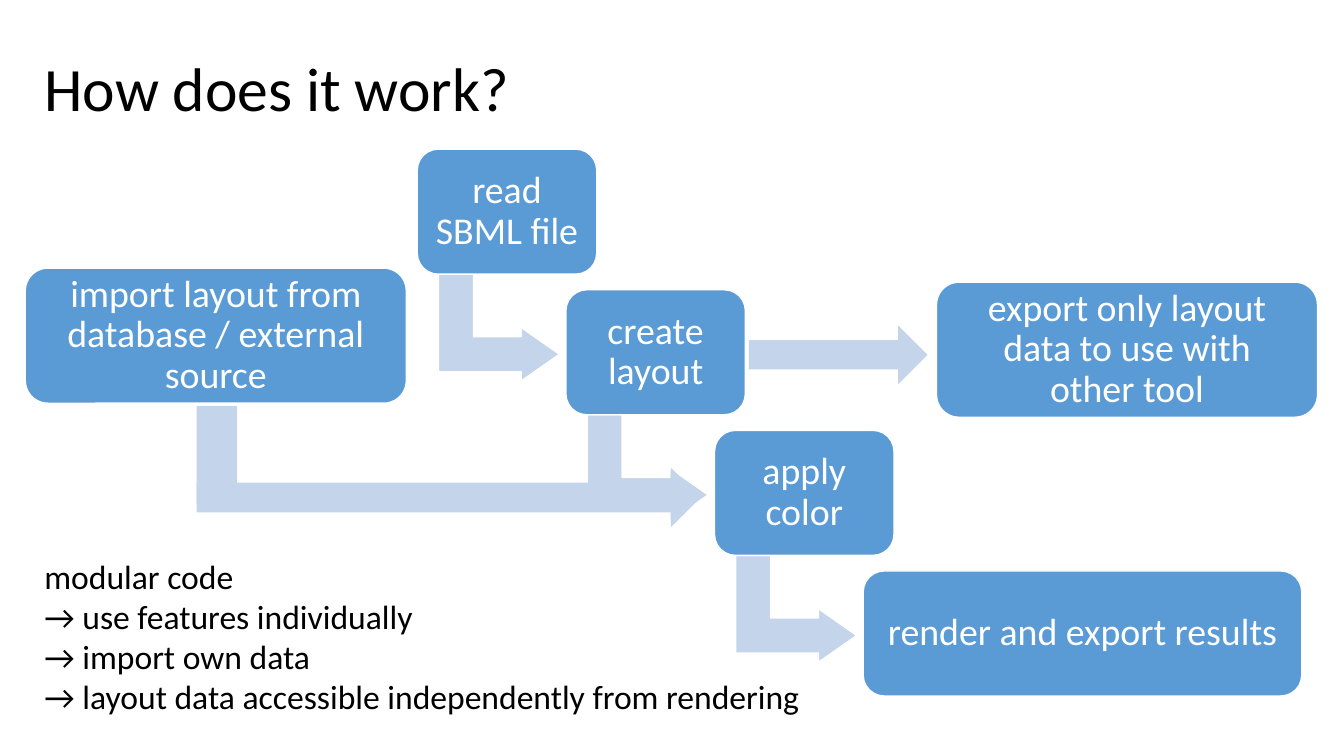
"""Build the "How does it work?" workflow slide."""
from lxml import etree
from pptx import Presentation
from pptx import util as u
from pptx.dml.color import RGBColor
from pptx.enum import shapes, text
from pptx.oxml.ns import qn

W, H = u.Inches(13.33), u.Inches(7.5)
FONT = "Calibri"
COLORS = {"box": "5B9BD5", "arrow": "C4D5EB", "white": "FFFFFF", "black": "000000"}
SHAPE = shapes.MSO_SHAPE

STEPS = ["read SBML file", "create layout", "apply color", "render and export results"]
NOTES = [
    "modular code",
    "→ use features individually",
    "→ import own data",
    "→ layout data accessible independently from rendering",
]
STEP_W, STEP_H, LAST_W = 13.35, 16.53, 32.63
SIDE_W, SIDE_H = 28.35, 17.87


def rgb(name):
    """Return the named colour."""
    return RGBColor.from_string(COLORS[name])


def area(x, y, w, h):
    """Turn percentages of the slide into lengths."""
    return [int(size * share / 100) for size, share in zip((W, H, W, H), (x, y, w, h))]


def add_run(p, words, size, color):
    """Add one formatted run to a paragraph."""
    r = p.add_run()
    r.text = words
    r.font.name, r.font.size = FONT, u.Pt(size)
    r.font.color.rgb = rgb(color)


def add_block(s, kind, place, fill, outlined=False, adj=()):
    """Add a filled preset shape."""
    sp = s.shapes.add_shape(kind, *area(*place))
    sp.shadow.inherit = False
    sp.fill.solid()
    sp.fill.fore_color.rgb = rgb(fill)
    if outlined:
        sp.line.color.rgb = rgb("white")
        sp.line.width = u.Pt(1)
    else:
        sp.line.fill.background()
    for i, value in enumerate(adj):
        sp.adjustments[i] = value
    return sp


def add_box(s, words, place, side=0.11):
    """Add a rounded box with a centred label."""
    sp = add_block(s, SHAPE.ROUNDED_RECTANGLE, place, "box", True, [0.167])
    tf = sp.text_frame
    tf.word_wrap = True
    tf.vertical_anchor = text.MSO_ANCHOR.MIDDLE
    tf.margin_left = tf.margin_right = u.Inches(side)
    tf.margin_top = tf.margin_bottom = u.Inches(0.11)
    p = tf.paragraphs[0]
    p.alignment = text.PP_ALIGN.CENTER
    p.line_spacing = 0.9
    add_run(p, words, 27, "white")


def add_staircase(s):
    """Add the descending steps, each with a bent arrow to the next."""
    last = len(STEPS) - 1
    for i, words in enumerate(STEPS):
        x, y = 31.05 + 11.06 * i, 19.73 + 18.6 * i
        if i < last:
            bend = add_block(s, SHAPE.BENT_UP_ARROW, (x + 2.1, y + 15.6, 7.95, 16),
                             "arrow", True, [0.328, 0.25, 0.358])
            bend.rotation = 90
        add_box(s, words, (x, y, STEP_W if i < last else LAST_W, STEP_H))


def add_title(s, words):
    """Fill and place the title."""
    sp = s.shapes.title
    sp.left, sp.top, sp.width, sp.height = area(2.55, 2.4, 86.25, 19.33)
    tf = sp.text_frame
    tf.vertical_anchor = text.MSO_ANCHOR.MIDDLE
    p = tf.paragraphs[0]
    p.alignment = text.PP_ALIGN.LEFT
    p.line_spacing = 0.9
    add_run(p, words, 44, "black")


def add_notes(s, lines):
    """Fill and place the plain list in the body placeholder."""
    sp = s.placeholders[1]
    sp.left, sp.top, sp.width, sp.height = area(2.55, 72.8, 58.43, 22.93)
    tf = sp.text_frame
    tf.word_wrap = False
    tf.auto_size = text.MSO_AUTO_SIZE.SHAPE_TO_FIT_TEXT
    for i, line in enumerate(lines):
        p = tf.add_paragraph() if i else tf.paragraphs[0]
        pPr = p._p.get_or_add_pPr()
        pPr.set("marL", "0")
        pPr.set("indent", "0")
        etree.SubElement(pPr, qn("a:buNone"))
        p.space_before = u.Pt(0)
        add_run(p, line, 24, "black")


def main():
    """Build and save the slide."""
    prs = Presentation()
    prs.slide_width, prs.slide_height = W, H
    s = prs.slides.add_slide(prs.slide_layouts[1])
    add_title(s, "How does it work?")
    add_notes(s, NOTES)
    add_staircase(s)
    add_block(s, SHAPE.RIGHT_ARROW, (55.73, 43.07, 13.28, 7.73), "arrow")
    add_box(s, "export only layout data to use with other tool",
            (69.68, 37.33, SIDE_W, SIDE_H), 0.17)
    add_block(s, SHAPE.RIGHT_ARROW, (14.63, 61.87, 37.5, 7.87), "arrow")
    add_box(s, "import layout from database / external source",
            (1.88, 35.47, SIDE_W, SIDE_H), 0.17)
    add_block(s, SHAPE.RECTANGLE, (14.63, 53.73, 3, 13.07), "arrow")
    prs.save("out.pptx")


if __name__ == "__main__":
    main()
